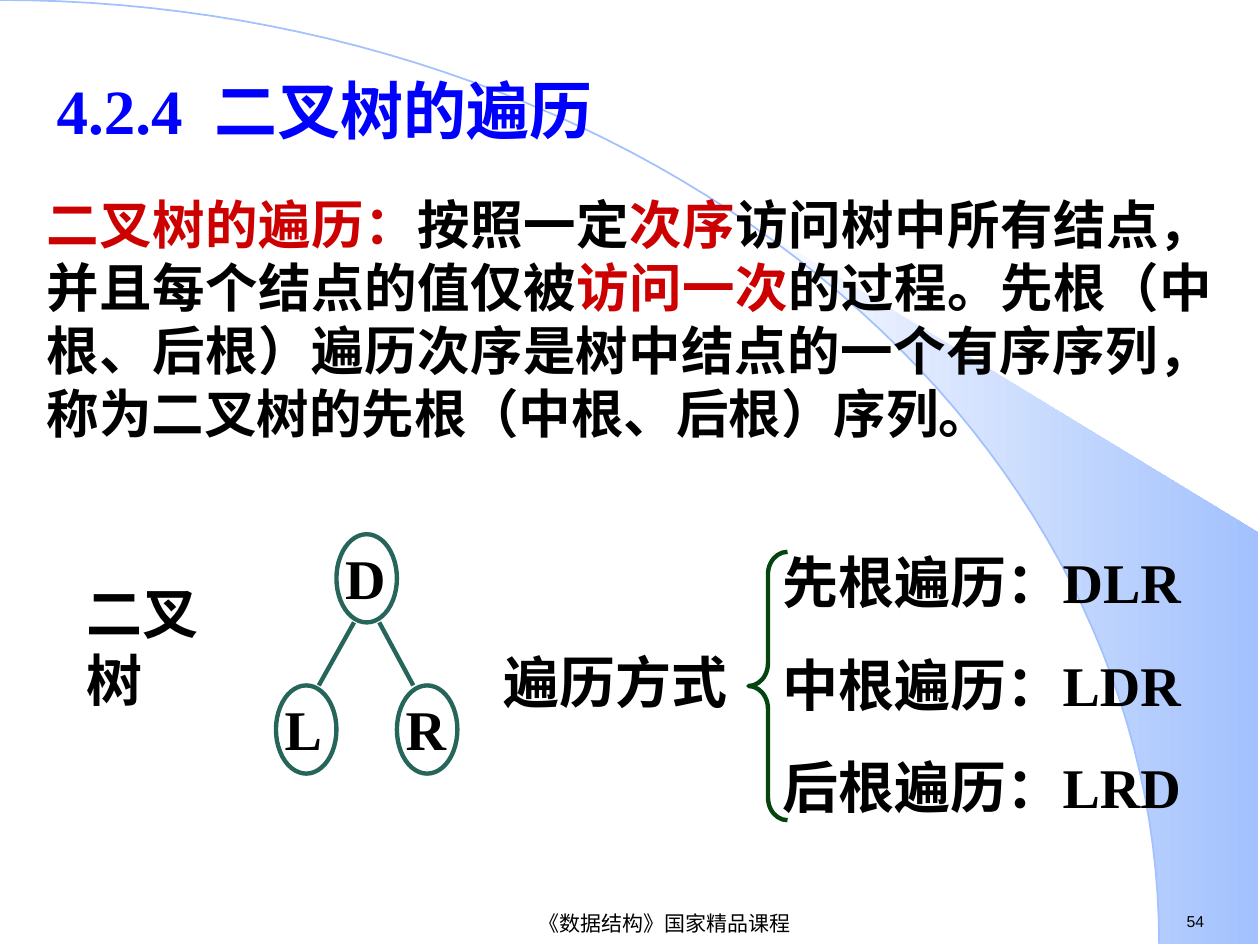
from math import cos, pi, sin, acos

from lxml.etree import SubElement
from pptx import Presentation
from pptx.dml.color import RGBColor
from pptx.enum.shapes import MSO_CONNECTOR as Connector, MSO_SHAPE as Shape
from pptx.enum.text import MSO_ANCHOR as Anchor, PP_ALIGN as Align
from pptx.oxml.ns import qn
from pptx.util import Inches, Pt

COLORS = {
    "black": "000000", "red": "CC0000", "blue": "0000FF", "white": "FFFFFF",
    "sky": "A2C1FE", "teal": "26665A", "green": "04440F",
}
SERIF = "Times New Roman"
CJK = "Noto Sans CJK SC"


def rgb(name):
    return RGBColor.from_string(COLORS[name])


def write(box, *paragraphs, place, size=32, font=SERIF, bold=True, color="black",
          align=Align.LEFT, anchor=Anchor.TOP, wrap=True, gap=0, spacing=None):
    box.left, box.top, box.width, box.height = [Inches(value) for value in place]
    frame = box.text_frame
    frame.word_wrap = wrap
    frame.vertical_anchor = anchor
    for index, spans in enumerate(paragraphs):
        para = frame.add_paragraph() if index else frame.paragraphs[0]
        para.alignment = align
        para.space_before = Pt(gap if index else 0)
        para.line_spacing = spacing or Pt(round(size * 1.2, 1))
        if box.is_placeholder:
            properties = para._p.get_or_add_pPr()
            properties.set("marL", "0")
            properties.set("indent", "0")
            SubElement(properties, qn("a:buNone"))
        for text, tint in [(spans, color)] if isinstance(spans, str) else spans:
            span = para.add_run()
            span.text = text
            span.font.size = Pt(size)
            span.font.bold = bold
            span.font.color.rgb = rgb(tint)
            span.font.name = font
            SubElement(span._r.get_or_add_rPr(), qn("a:ea")).set("typeface", CJK)


deck = Presentation()
deck.slide_width, deck.slide_height = Inches(10), Inches(7.5)
page = deck.slides.add_slide(deck.slide_layouts[1])
shapes = page.shapes
title, body = page.placeholders

radius_x, radius_y = 9.2, 7.49
wedge_left, wedge_top = 5.89, 1.73
steps = 60


def arc_points(start):
    angles = [start * (1 - step / steps) for step in range(steps + 1)]
    return [(Inches(radius_x * cos(angle)), Inches(radius_y * (1 - sin(angle))))
            for angle in angles]


edge = arc_points(acos(wedge_left / radius_x))
corners = [(Inches(9.99), Inches(radius_y)), (Inches(9.99), Inches(4.23))]
builder = shapes.build_freeform(*edge[0])
builder.add_line_segments(edge[1:] + corners, close=True)
wedge = builder.convert_to_shape()
wedge.shadow.inherit = False
wedge.line.fill.background()
wedge.fill.gradient()
wedge.fill.gradient_angle = 0
for stop, name, position in zip(wedge.fill.gradient_stops, ("white", "sky"), (0, 1)):
    stop.color.rgb = rgb(name)
    stop.position = position

curve = arc_points(pi / 2)
builder = shapes.build_freeform(*curve[0])
builder.add_line_segments(curve[1:], close=False)
arc = builder.convert_to_shape()
arc.shadow.inherit = False
arc.fill.background()
arc.line.color.rgb = rgb("sky")
arc.line.width = Pt(1)

for shape in (title, body):
    shapes._spTree.append(shape._element)
write(title, "4.2.4  二叉树的遍历", place=(0.35, 0.52, 6.5, 0.7), size=36, color="blue")
write(body, [
    ("二叉树的遍历：", "red"), ("按照一定", "black"), ("次序", "red"),
    ("访问树中所有结点，并且每个结点的值仅被", "black"), ("访问一次", "red"),
    ("的过程。先根（中根、后根）遍历次序是树中结点的一个有序序列，"
     "称为二叉树的先根（中根、后根）序列。", "black"),
], place=(0.27, 1.47, 9.45, 2.44), size=30, align=Align.JUSTIFY)

brace = shapes.add_shape(Shape.LEFT_BRACE, Inches(5.94), Inches(4.38), Inches(0.31), Inches(2.13))
brace.adjustments[0] = 0.58
brace.shadow.inherit = False
brace.fill.background()
brace.line.color.rgb = rgb("green")
brace.line.width = Pt(2.5)

for letter, left, top in (("L", 2.19, 5.44), ("D", 2.67, 4.24), ("R", 3.15, 5.44)):
    node = shapes.add_shape(Shape.OVAL, Inches(left), Inches(top), Inches(0.48), Inches(0.7))
    node.shadow.inherit = False
    node.fill.background()
    node.line.color.rgb = rgb("teal")
    node.line.width = Pt(2.5)
    label = shapes.add_textbox(0, 0, 0, 0)
    write(label, letter, place=(left - 0.03, top - 0.03, 0.48, 0.69), spacing=1.1)

for start, end in ((2.81, 2.53), (3.01, 3.28)):
    branch = shapes.add_connector(Connector.STRAIGHT, Inches(start), Inches(4.94),
                                  Inches(end), Inches(5.44))
    branch.line.color.rgb = rgb("teal")
    branch.line.width = Pt(2.5)
    SubElement(branch._element.spPr, qn("a:effectLst"))

labels = [
    (["二叉树"], dict(place=(0.59, 4.54, 1.53, 0.64), font=CJK, wrap=False)),
    (["遍历方式"], dict(place=(3.9, 5.09, 2.12, 0.64))),
    (["先根遍历：DLR", "中根遍历：LDR", "后根遍历：LRD"],
     dict(place=(6.11, 4.3, 3.5, 2.26), gap=20)),
    (["《数据结构》国家精品课程"],
     dict(place=(2.4, 7.21, 5.75, 0.24), size=12, font="Arial", bold=False,
          align=Align.CENTER, anchor=Anchor.MIDDLE)),
    (["54"], dict(place=(9.32, 7.19, 0.77, 0.25), size=9, font="Arial", bold=False)),
]
for lines, style in labels:
    write(shapes.add_textbox(0, 0, 0, 0), *lines, **style)

deck.save("out.pptx")
